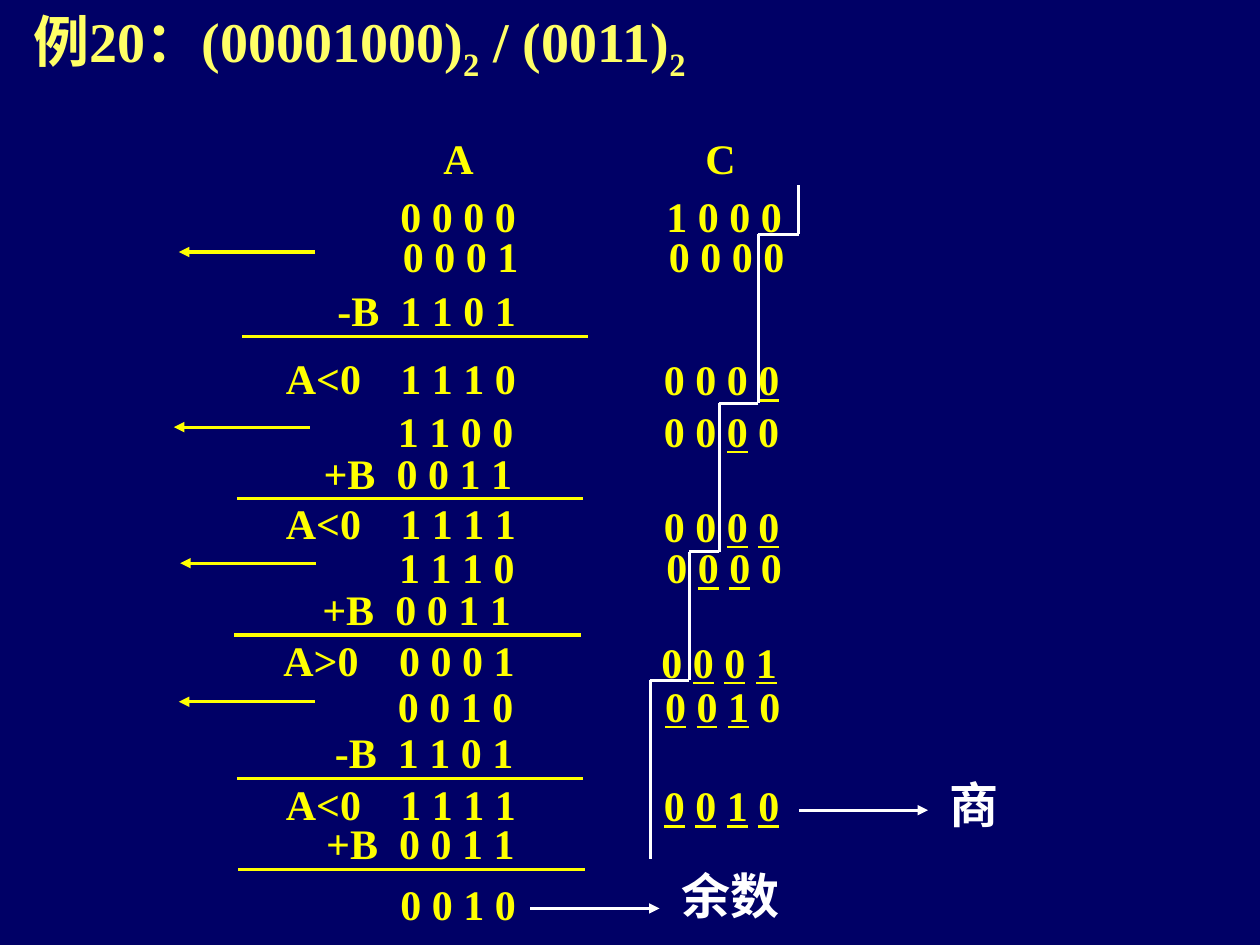
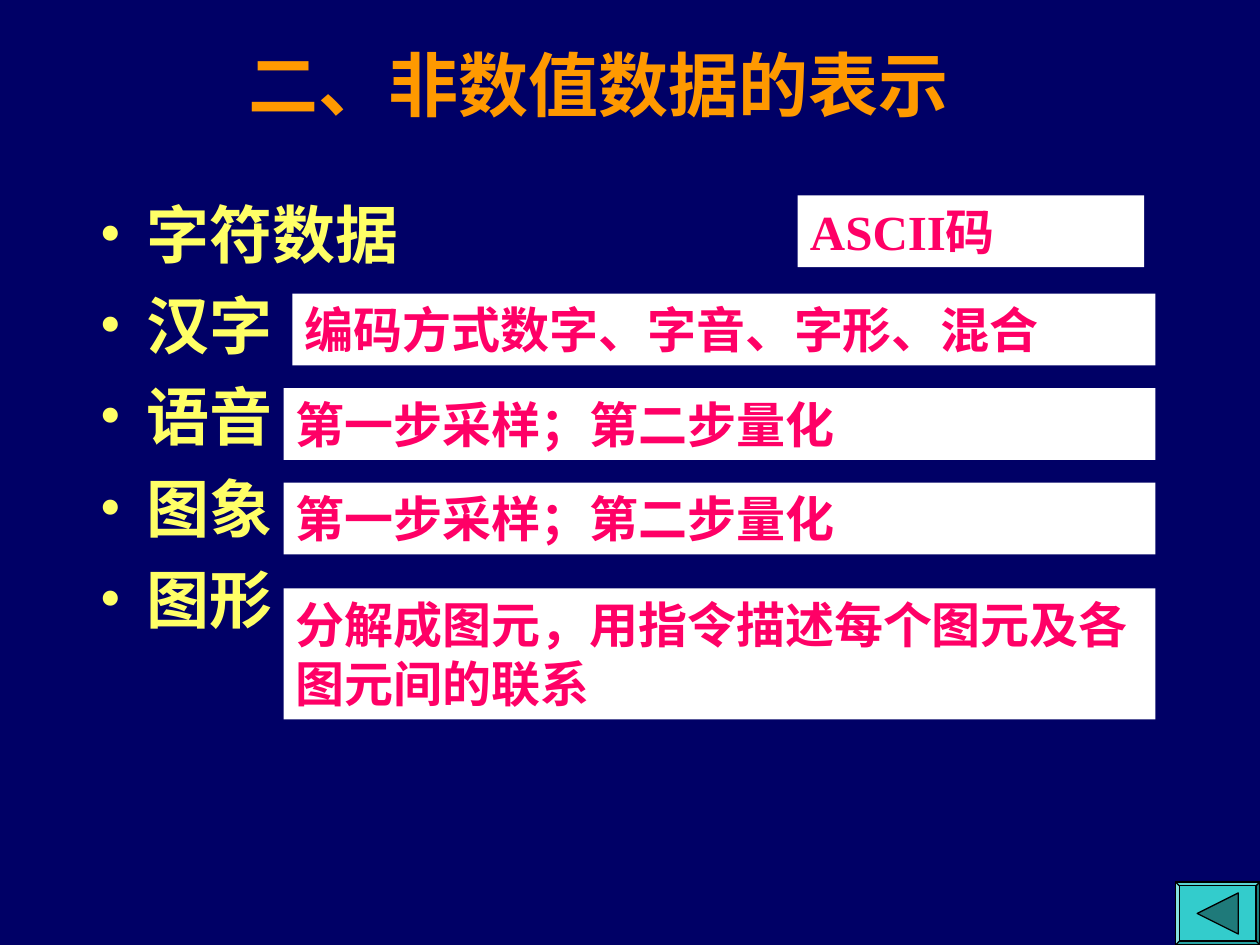
from pptx import Presentation
from pptx import util as u
from pptx.dml.color import RGBColor
from pptx.enum import shapes, text
from pptx.oxml import ns
from lxml import etree

NAVY = RGBColor(0x00, 0x00, 0x66)
YELLOW = RGBColor(0xFF, 0xFF, 0x00)
PALE_YELLOW = RGBColor(0xFF, 0xFF, 0x66)
ORANGE = RGBColor(0xFF, 0x99, 0x00)
PINK = RGBColor(0xFF, 0x00, 0x66)
WHITE = RGBColor(0xFF, 0xFF, 0xFF)
BLACK = RGBColor(0x00, 0x00, 0x00)
TEAL = RGBColor(0x33, 0xCC, 0xCC)
DARK_TEAL = RGBColor(0x1F, 0x7A, 0x7A)

COLUMNS = 100  # the slide is a grid of square cells, 100 by 75
SERIF = "Times New Roman"


def add_xml(parent, tag, **attributes):
    return etree.SubElement(parent, ns.qn(tag), attributes)


class Slides:
    """Holds the style and the current slide; lengths are grid cells."""

    def __init__(self):
        self.deck = Presentation()
        self.deck.slide_width, self.deck.slide_height = u.Inches(10), u.Inches(7.5)
        self.cell = self.deck.slide_width // COLUMNS
        self.page = None

    def new_page(self):
        self.page = self.deck.slides.add_slide(self.deck.slide_layouts[6])
        fill = self.page.background.fill
        fill.solid()
        fill.fore_color.rgb = NAVY

    def grid(self, *lengths):
        return [round(length * self.cell) for length in lengths]

    def set_words(self, para, words, size, color, face=SERIF, subscript=False):
        """Spans between underscores are underlined, or set as subscripts."""
        for number, part in enumerate(words.split("_")):
            if not part:
                continue
            span = para.add_run()
            span.text = part
            if number % 2 and subscript:
                span.font._element.set("baseline", "-25000")
            elif number % 2:
                span.font.underline = True
        font = para.font
        font.name, font.size, font.bold = face, u.Pt(size), True
        font.color.rgb = color

    def text_box(self, place, words, size=24, color=YELLOW, tab=None, **style):
        box = self.page.shapes.add_textbox(*self.grid(*place))
        box.text_frame.word_wrap = True
        para = box.text_frame.paragraphs[0]
        if tab:
            stops = add_xml(para._p.get_or_add_pPr(), "a:tabLst")
            add_xml(stops, "a:tab", pos=str(self.grid(tab)[0]), algn="l")
        self.set_words(para, words, size, color, **style)
        return box

    def bullets(self, place, items, size, color):
        box = self.page.shapes.add_textbox(*self.grid(*place))
        frame = box.text_frame
        frame.word_wrap = True
        for number, item in enumerate(items):
            para = frame.add_paragraph() if number else frame.paragraphs[0]
            if number:
                para.space_before = u.Pt(9)
            indent = self.grid(3.75)[0]
            settings = para._p.get_or_add_pPr()
            settings.set("marL", str(indent))
            settings.set("indent", str(-indent))
            add_xml(settings, "a:buFont", typeface=SERIF)
            add_xml(settings, "a:buChar", char="•")
            self.set_words(para, item, size, color)

    def line(self, start, end, color=YELLOW, arrow=False):
        connector = self.page.shapes.add_connector(
            shapes.MSO_CONNECTOR.STRAIGHT, *self.grid(*start, *end))
        connector.line.color.rgb = color
        connector.line.width = u.Pt(1.75)
        properties = connector._element.spPr
        if arrow:
            add_xml(properties.find(ns.qn("a:ln")), "a:tailEnd", type="triangle")
        add_xml(properties, "a:effectLst")

    def paint(self, shape, fill, outline=None):
        shape.shadow.inherit = False
        shape.fill.solid()
        shape.fill.fore_color.rgb = fill
        if outline is None:
            shape.line.fill.background()
        else:
            shape.line.color.rgb = outline
            shape.line.width = u.Pt(0.75)

    def panel(self, place, words):
        box = self.page.shapes.add_shape(shapes.MSO_SHAPE.RECTANGLE, *self.grid(*place))
        self.paint(box, WHITE)
        frame = box.text_frame
        frame.word_wrap = True
        frame.vertical_anchor = text.MSO_ANCHOR.TOP
        para = frame.paragraphs[0]
        para.alignment = text.PP_ALIGN.LEFT
        self.set_words(para, words, 28, PINK)

    def back_button(self, left, top, width, height):
        button = self.page.shapes.add_shape(
            shapes.MSO_SHAPE.BEVEL, *self.grid(left, top, width, height))
        button.adjustments[0] = 0.06
        self.paint(button, TEAL, BLACK)
        # Left-pointing arrow in the middle of the button
        middle_x, middle_y, reach = left + width / 2, top + height / 2, 1.63
        tip, *base = [self.grid(middle_x + x * reach, middle_y + y * reach)
                      for x, y in ((-1, 0), (1, -1), (1, 1))]
        outline = self.page.shapes.build_freeform(*tip)
        outline.add_line_segments(base, close=True)
        self.paint(outline.convert_to_shape(), DARK_TEAL, BLACK)


def division_page(slides):
    slides.new_page()
    slides.text_box((1.67, 0, 95, 7.5), "例20：(00001000)_2_ / (0011)_2_",
                    32, PALE_YELLOW, subscript=True)

    # Register names
    for left, name in ((34.2, "A"), (55, "C")):
        slides.text_box((left, 10, 9.2, 5), name)

    # Register contents, top to bottom: left, top, bits
    register_a = (
        (30.8, 14.6, "0 0 0 0"), (31, 17.8, "0 0 0 1"), (30.8, 27.5, "1 1 1 0"),
        (30.6, 31.7, "1 1 0 0"), (30.8, 39, "1 1 1 1"), (30.7, 42.5, "1 1 1 0"),
        (30.7, 49.9, "0 0 0 1"), (30.6, 53.5, "0 0 1 0"), (30.8, 61.3, "1 1 1 1"),
        (30.8, 69.2, "0 0 1 0"))
    register_c = (
        (51.9, 14.6, "1 0 0 0"), (52.1, 17.8, "0 0 0 0"), (51.7, 27.6, "0 0 0 _0_"),
        (51.7, 31.7, "0 0 _0_ 0"), (51.7, 39.2, "0 0 _0_ _0_"),
        (51.9, 42.5, "0 _0_ _0_ 0"), (51.5, 50, "0 _0_ _0_ _1_"),
        (51.8, 53.5, "_0_ _0_ _1_ 0"), (51.7, 61.4, "_0_ _0_ _1_ _0_"))
    for left, top, bits in register_a + register_c:
        slides.text_box((left, top, 11.7, 5), bits)

    # Sign of A after each addition
    for left, top, sign in ((21.7, 27.5, "A<0"), (21.7, 39, "A<0"),
                            (21.5, 49.9, "A>0"), (21.7, 61.3, "A<0")):
        slides.text_box((left, top, 9.2, 5), sign)

    # Each addend and the rule under it
    for left, top, addend, tab in (
            (25.8, 22.1, "-B\t1 1 0 1", 5), (24.7, 35, "+B\t0 0 1 1", 5.8),
            (24.6, 45.8, "+B\t0 0 1 1", 5.8), (25.6, 57.2, "-B\t1 1 0 1", 5),
            (24.9, 64.4, "+B\t0 0 1 1", 5.8)):
        slides.text_box((left, top, 19.6, 5), addend, tab=tab)
    for left, top in ((19.2, 26.7), (18.8, 39.6), (18.6, 50.4),
                      (18.8, 61.8), (18.9, 69)):
        slides.line((left, top), (left + 27.5, top))

    # Left shifts
    for right, top in ((25, 20), (24.6, 33.9), (25.1, 44.7), (25, 55.7)):
        slides.line((right, top), (right - 10.8, top), arrow=True)

    # Staircase between the dividend bits and the quotient bits
    stairs = [(63.4, 14.7)]
    for left, top in ((60.2, 18.6), (57.1, 32), (54.7, 43.8), (51.6, 54)):
        stairs += [(stairs[-1][0], top), (left, top)]
    stairs.append((51.6, 68.2))
    for start, end in zip(stairs, stairs[1:]):
        slides.line(start, end, WHITE)

    # Quotient and remainder
    for left, top, label_top, result in ((63.4, 64.3, 61, "商"),
                                         (42.1, 72.1, 68.2, "余数")):
        slides.line((left, top), (left + 10.25, top), WHITE, arrow=True)
        slides.text_box((left + 11, label_top, 10.2, 5.7), result, 28, WHITE,
                        face="Lato")


def data_kinds_page(slides):
    slides.new_page()
    title = slides.text_box((2.5, 2.5, 90, 8.3), "二、非数值数据的表示", 40, ORANGE)
    title.text_frame.vertical_anchor = text.MSO_ANCHOR.MIDDLE
    title.text_frame.paragraphs[0].alignment = text.PP_ALIGN.CENTER

    slides.bullets((6.9, 15, 82.5, 40.8),
                   ("字符数据", "汉字", "语音", "图象", "图形"), 36, PALE_YELLOW)
    slides.back_button(93.3, 70, 6.7, 5)

    # How each kind of data is encoded
    sampling = "第一步采样；第二步量化"
    for place, encoding in (
            ((63.3, 15.5, 27.5, 5.7), "ASCII码"),
            ((23.2, 23.3, 68.5, 5.7), "编码方式数字、字音、字形、混合"),
            ((22.5, 30.8, 69.2, 5.7), sampling),
            ((22.5, 38.3, 69.2, 5.7), sampling),
            ((22.5, 46.7, 69.2, 10.4),
             "分解成图元，用指令描述每个图元及各图元间的联系")):
        slides.panel(place, encoding)


def main():
    slides = Slides()
    division_page(slides)
    data_kinds_page(slides)
    slides.deck.save("out.pptx")


if __name__ == "__main__":
    main()
